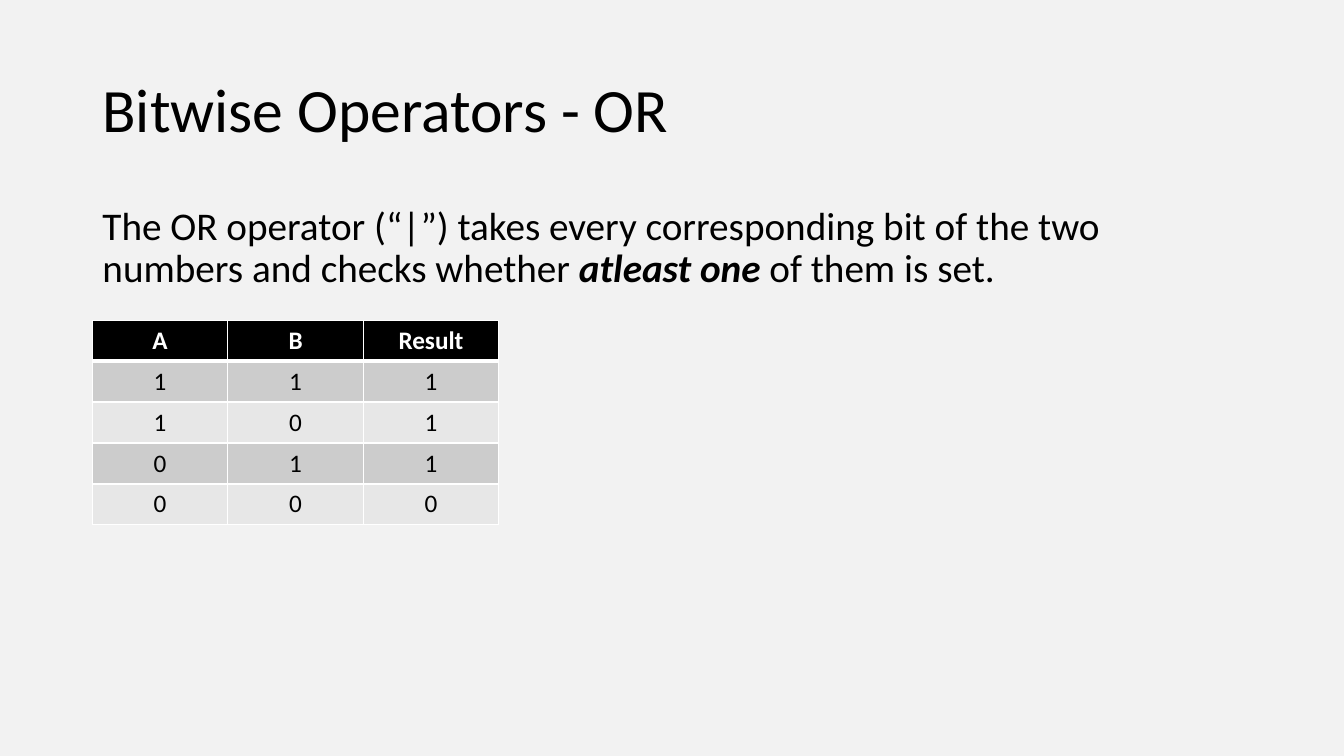
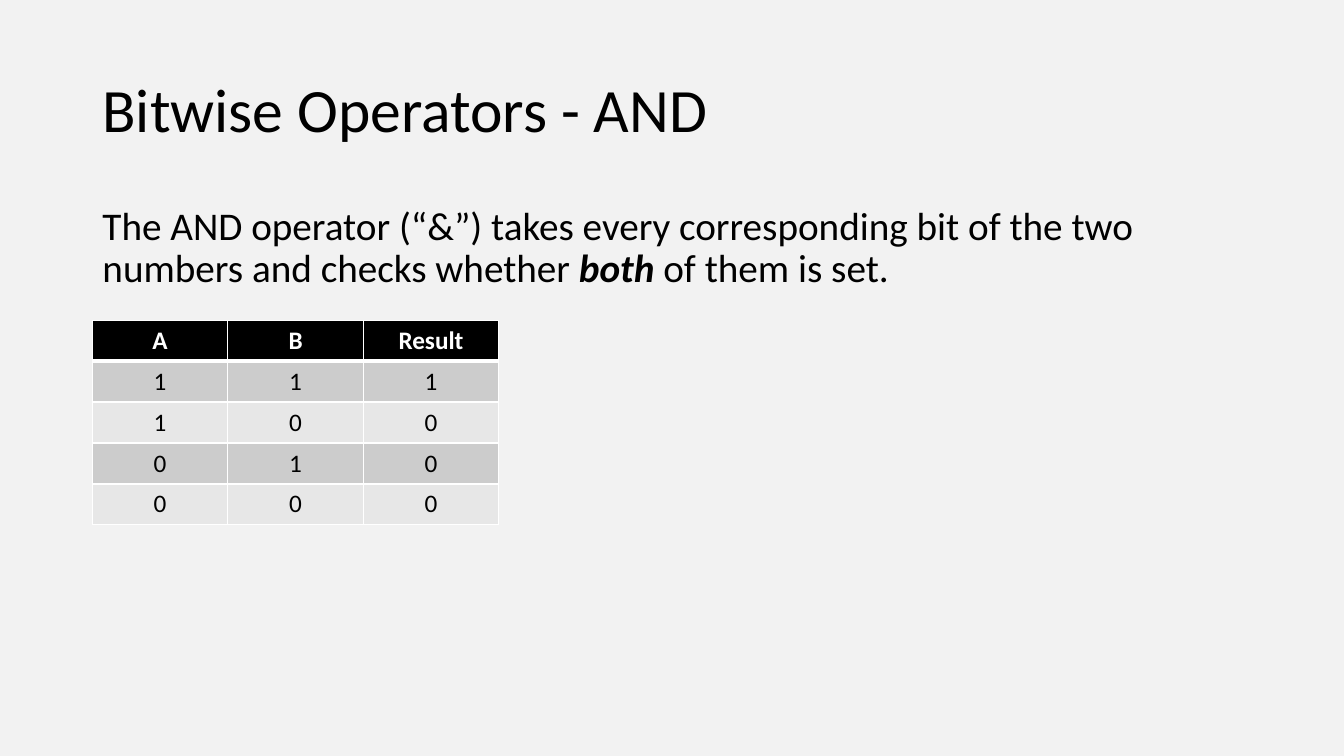
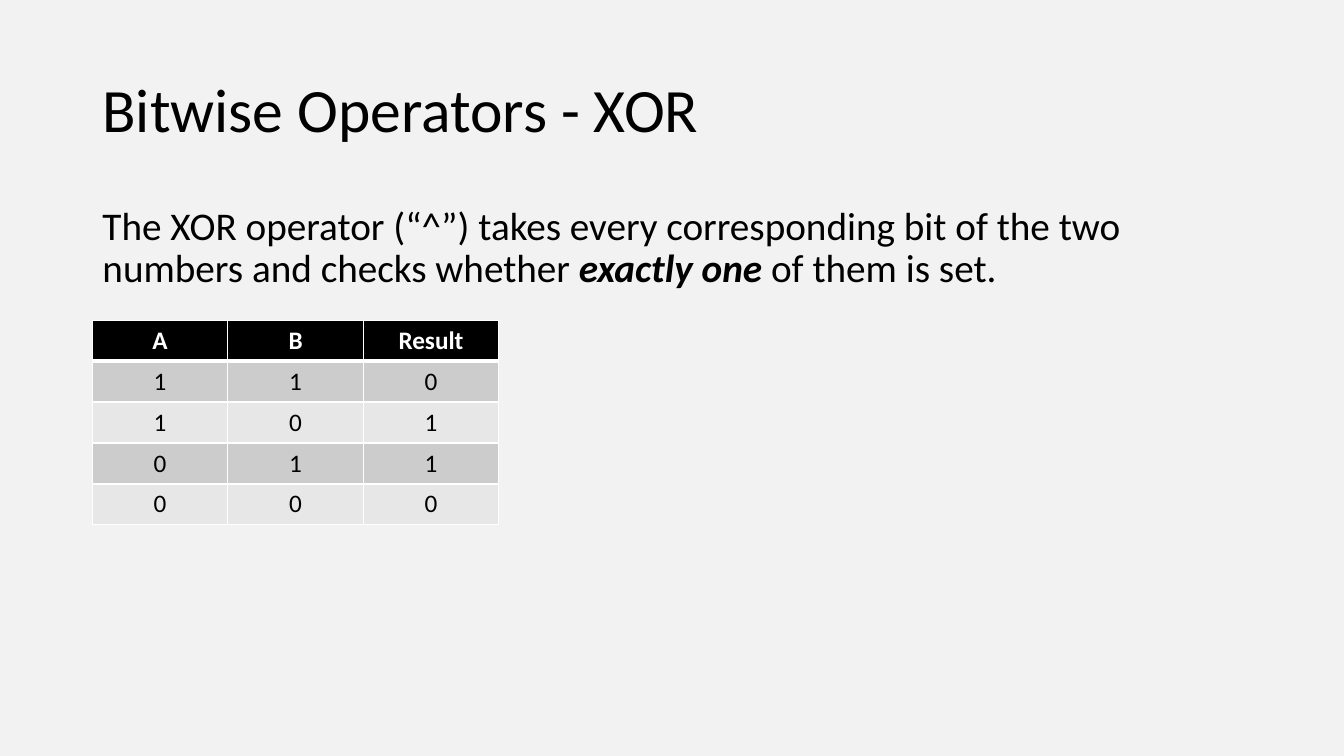
import itertools

import lxml.etree
import pptx
import pptx.dml.color
import pptx.enum.text
import pptx.oxml.ns
import pptx.util

PX = 9525
FONT = "Calibri"
BACKGROUND = pptx.dml.color.RGBColor(0xF2, 0xF2, 0xF2)
BLACK = pptx.dml.color.RGBColor(0x00, 0x00, 0x00)
WHITE = pptx.dml.color.RGBColor(0xFF, 0xFF, 0xFF)
BANDS = (pptx.dml.color.RGBColor(0xCC, 0xCC, 0xCC),
         pptx.dml.color.RGBColor(0xE7, 0xE7, 0xE7))

TITLE_BOX = (88, 38, 1104, 139)
BODY_BOX = (88, 192, 1104, 457)
TABLE_BOX = (88, 305, 387, 195)

OPERATORS = (
    ("OR", "|", "atleast one", lambda a, b: a | b),
    ("AND", "&", "both", lambda a, b: a & b),
    ("XOR", "^", "exactly one", lambda a, b: a ^ b),
)


def emu(box):
    """Turn a box in px into EMU lengths."""
    return [pptx.util.Emu(length * PX) for length in box]


def style_paragraph(paragraph, size, color, align, bold=None):
    """Give a paragraph its font, colour and alignment."""
    paragraph.alignment = align
    paragraph.font.name = FONT
    paragraph.font.size = pptx.util.Pt(size)
    paragraph.font.color.rgb = color
    paragraph.font.bold = bold


def place_text(placeholder, box, size, anchor, space_before):
    """Move a placeholder to its box and return its formatted paragraph."""
    placeholder.left, placeholder.top, placeholder.width, placeholder.height = emu(box)
    frame = placeholder.text_frame
    frame.word_wrap = True
    frame.auto_size = pptx.enum.text.MSO_AUTO_SIZE.NONE
    frame.vertical_anchor = anchor
    paragraph = frame.paragraphs[0]
    style_paragraph(paragraph, size, BLACK, pptx.enum.text.PP_ALIGN.LEFT)
    paragraph.line_spacing = 0.9
    paragraph.space_before = pptx.util.Pt(space_before)
    return paragraph


def add_title(slide, box, name):
    """Write the slide title."""
    title = place_text(slide.shapes.title, box, 44, pptx.enum.text.MSO_ANCHOR.MIDDLE, 0)
    title.add_run().text = f"Bitwise Operators - {name}"


def add_description(slide, box, name, symbol, condition):
    """Explain the operator, with its condition emphasised."""
    description = place_text(slide.placeholders[1], box, 28, pptx.enum.text.MSO_ANCHOR.TOP, 10)
    properties = description._p.get_or_add_pPr()
    properties.set("marL", "0")
    properties.set("indent", "0")
    lxml.etree.SubElement(properties, pptx.oxml.ns.qn("a:buNone"))
    opening = (f"The {name} operator (“{symbol}”) takes every corresponding bit "
               "of the two numbers and checks whether ")
    description.add_run().text = opening
    emphasis = description.add_run()
    emphasis.text = condition
    emphasis.font.bold = emphasis.font.italic = True
    description.add_run().text = " of them is set."


def add_borders(cell, widths):
    """Draw white cell borders with the given widths in points."""
    properties = cell._tc.get_or_add_tcPr()
    for side, width in widths.items():
        line = lxml.etree.SubElement(properties, pptx.oxml.ns.qn(f"a:ln{side}"),
                                     w=str(pptx.util.Pt(width)))
        fill = lxml.etree.SubElement(line, pptx.oxml.ns.qn("a:solidFill"))
        lxml.etree.SubElement(fill, pptx.oxml.ns.qn("a:srgbClr"), val=str(WHITE))


def add_truth_table(slide, box, operation):
    """Tabulate the operation for every pair of bits."""
    rows = [("A", "B", "Result")]
    rows += [(a, b, operation(a, b)) for a, b in itertools.product((1, 0), repeat=2)]
    table = slide.shapes.add_table(len(rows), len(rows[0]), *emu(box)).table
    for row_index, values in enumerate(rows):
        header = row_index == 0
        widths = {"L": 1, "R": 1, "T": 3 if row_index == 1 else 1, "B": 3 if header else 1}
        for column_index, value in enumerate(values):
            cell = table.cell(row_index, column_index)
            cell.text = str(value)
            style_paragraph(cell.text_frame.paragraphs[0], 18, WHITE if header else BLACK,
                            pptx.enum.text.PP_ALIGN.CENTER, bold=header)
            add_borders(cell, widths)
            cell.fill.solid()
            cell.fill.fore_color.rgb = BLACK if header else BANDS[(row_index - 1) % 2]


def add_operator_slide(deck, name, symbol, condition, operation):
    """Add the slide for one bitwise operator."""
    slide = deck.slides.add_slide(deck.slide_layouts[1])
    add_title(slide, TITLE_BOX, name)
    add_description(slide, BODY_BOX, name, symbol, condition)
    add_truth_table(slide, TABLE_BOX, operation)


def main():
    """Build and save the deck."""
    deck = pptx.Presentation()
    deck.slide_width, deck.slide_height = emu((1280, 720))
    background = deck.slide_master.background.fill
    background.solid()
    background.fore_color.rgb = BACKGROUND
    for operator in OPERATORS:
        add_operator_slide(deck, *operator)
    deck.save("out.pptx")


if __name__ == "__main__":
    main()
